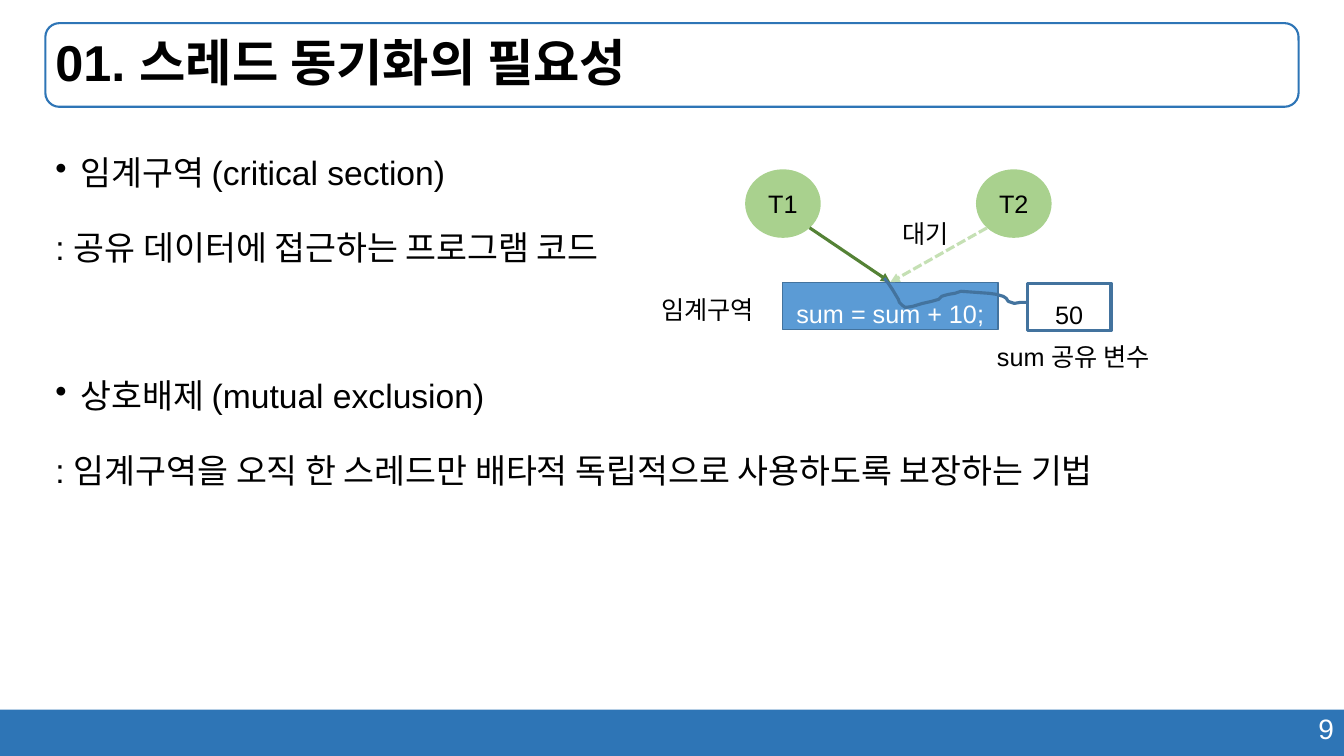
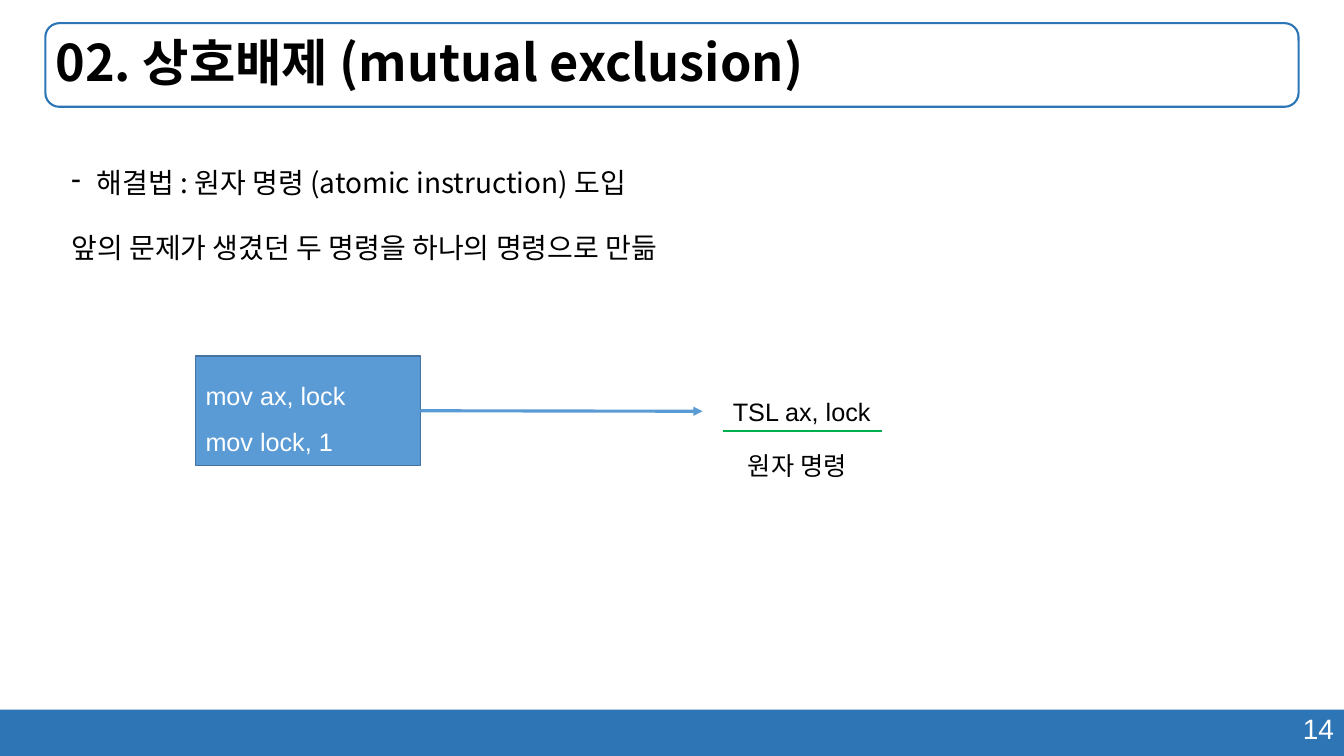
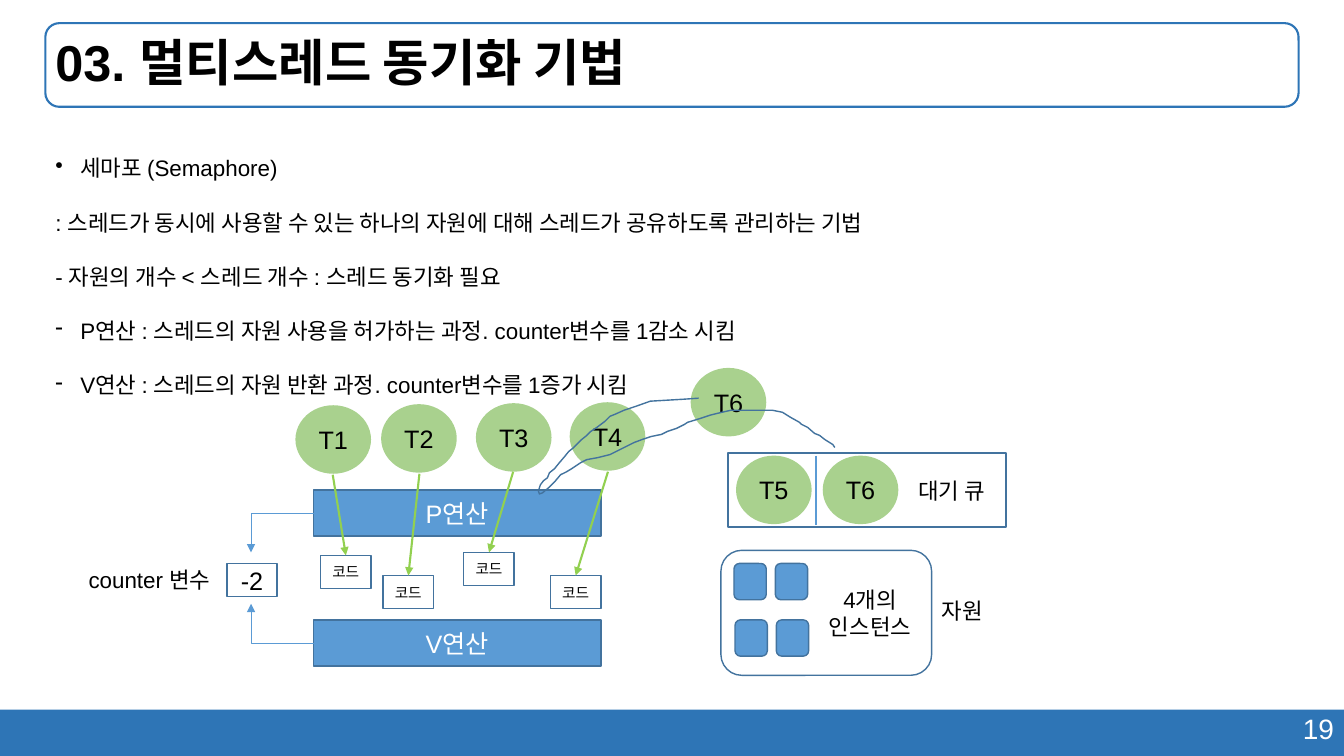
from dataclasses import dataclass
from typing import NamedTuple, Optional, Sequence

import pptx
import pptx.dml.color
import pptx.enum.dml
import pptx.enum.shapes
import pptx.enum.text
import pptx.oxml.ns
import pptx.oxml.xmlchemy
import pptx.presentation
import pptx.shapes.autoshape
import pptx.shapes.connector
import pptx.slide
import pptx.text.text
import pptx.util

Inches = pptx.util.Inches
Pt = pptx.util.Pt
Shape = pptx.shapes.autoshape.Shape
Slide = pptx.slide.Slide
Preset = pptx.enum.shapes.MSO_SHAPE
Connector = pptx.enum.shapes.MSO_CONNECTOR
Align = pptx.enum.text.PP_ALIGN
Anchor = pptx.enum.text.MSO_ANCHOR
new_element = pptx.oxml.xmlchemy.OxmlElement


@dataclass(frozen=True)
class Theme:
    band: str = "2E75B6"
    box: str = "5B9BD5"
    outline: str = "43739E"
    thread: str = "A9D18E"
    running: str = "548235"
    waiting: str = "C5E0B4"
    enter: str = "92D050"
    underline: str = "00B050"
    black: str = "000000"
    white: str = "FFFFFF"
    latin: str = "Arial"
    korean: str = "Noto Sans CJK KR"
    title_size: float = 36
    number_size: float = 20
    diagram_size: float = 18
    note_size: float = 16
    code_size: float = 10.5
    body_spacing: float = 1.5
    body_gap: float = 10


THEME = Theme()


class Box(NamedTuple):
    left: float
    top: float
    width: float
    height: float


class Point(NamedTuple):
    x: float
    y: float


class BodyLine(NamedTuple):
    text: str
    bullet: Optional[str] = None
    gap: float = THEME.body_gap


class Label(NamedTuple):
    text: str
    box: Box
    size: float = THEME.diagram_size


class Thread(NamedTuple):
    name: str
    left: float
    top: float


class Entry(NamedTuple):
    """A thread, and the code box that it reaches."""
    thread: Thread
    start: Point
    code_left: float
    code_top: float


def rgb(color: str) -> pptx.dml.color.RGBColor:
    return pptx.dml.color.RGBColor.from_string(color)


def write(shape: Shape, lines: Sequence[str], size: float, color: str,
          font: str = THEME.latin, align: Align = Align.LEFT,
          spacing: Optional[float] = None, bold: bool = False) -> None:
    frame = shape.text_frame
    for index, line in enumerate(lines):
        paragraph = frame.paragraphs[0] if index == 0 else frame.add_paragraph()
        paragraph.text = line
        paragraph.alignment = align
        if spacing:
            paragraph.line_spacing = spacing
        style(paragraph, size, color, font, bold)


def style(paragraph: pptx.text.text._Paragraph, size: float, color: str,
          font: str, bold: bool = False) -> None:
    paragraph.font.name = font
    paragraph.font.size = Pt(size)
    paragraph.font.bold = bold
    paragraph.font.color.rgb = rgb(color)


def add_box(slide: Slide, box: Box, preset: Preset = Preset.RECTANGLE,
            fill: Optional[str] = None, line: Optional[str] = THEME.outline,
            weight: float = 1) -> Shape:
    shape = slide.shapes.add_shape(preset, *map(Inches, box))
    shape.shadow.inherit = False
    paint(shape, fill, line, weight)
    shape.text_frame.word_wrap = True
    shape.text_frame.vertical_anchor = Anchor.MIDDLE
    return shape


def paint(shape: Shape, fill: Optional[str], line: Optional[str], weight: float) -> None:
    if fill:
        shape.fill.solid()
        shape.fill.fore_color.rgb = rgb(fill)
    else:
        shape.fill.background()
    if line:
        shape.line.color.rgb = rgb(line)
        shape.line.width = Pt(weight)
    else:
        shape.line.fill.background()


def add_label(slide: Slide, label: Label, align: Align = Align.LEFT) -> None:
    """Draw an unwrapped text box; each line of the text is a paragraph."""
    shape = slide.shapes.add_textbox(*map(Inches, label.box))
    shape.text_frame.word_wrap = False
    shape.text_frame.auto_size = pptx.enum.text.MSO_AUTO_SIZE.SHAPE_TO_FIT_TEXT
    write(shape, label.text.split("\n"), label.size, THEME.black, align=align)


def add_thread(slide: Slide, thread: Thread) -> None:
    shape = add_box(slide, Box(thread.left, thread.top, 0.75, 0.68),
                    Preset.OVAL, THEME.thread, None)
    write(shape, [thread.name], THEME.diagram_size, THEME.black, align=Align.CENTER)


def add_line(slide: Slide, start: Point, end: Point, color: str, weight: float,
             arrow: bool = True, kind: Connector = Connector.STRAIGHT,
             ) -> pptx.shapes.connector.Connector:
    line = slide.shapes.add_connector(kind, *map(Inches, (*start, *end)))
    line.line.color.rgb = rgb(color)
    line.line.width = Pt(weight)
    properties = line._element.spPr
    if arrow:
        tail = new_element("a:tailEnd")
        tail.set("type", "triangle")
        properties.find(pptx.oxml.ns.qn("a:ln")).append(tail)
    properties.append(new_element("a:effectLst"))
    return line


def add_corner_arrow(slide: Slide, start: Point, end: Point) -> None:
    """Draw an arrow that runs sideways first and turns once."""
    arrow = add_line(slide, start, end, THEME.box, 0.5, kind=Connector.ELBOW)
    guide = new_element("a:gd")
    guide.set("name", "adj1")
    guide.set("fmla", "val 100000")
    geometry = arrow._element.spPr.find(pptx.oxml.ns.qn("a:prstGeom"))
    geometry.get_or_add_avLst().append(guide)


def add_scribble(slide: Slide, points: Sequence[tuple[float, float]], weight: float) -> None:
    scaled = [(Inches(x), Inches(y)) for x, y in points]
    builder = slide.shapes.build_freeform(*scaled[0])
    builder.add_line_segments(scaled[1:], close=False)
    shape = builder.convert_to_shape()
    shape.shadow.inherit = False
    paint(shape, None, THEME.outline, weight)


def add_body(slide: Slide, box: Box, lines: Sequence[BodyLine], size: float,
             font: str = THEME.latin) -> None:
    shape = slide.shapes.add_textbox(*map(Inches, box))
    frame = shape.text_frame
    frame.word_wrap = True
    for index, line in enumerate(lines):
        paragraph = frame.paragraphs[0] if index == 0 else frame.add_paragraph()
        paragraph.text = line.text
        paragraph.line_spacing = THEME.body_spacing
        if index:
            paragraph.space_before = Pt(line.gap)
        if line.bullet:
            properties = paragraph._p.get_or_add_pPr()
            properties.set("marL", str(Inches(0.25)))
            properties.set("indent", str(-Inches(0.25)))
            bullet = new_element("a:buChar")
            bullet.set("char", line.bullet)
            properties.append(bullet)
        style(paragraph, size, THEME.black, font)


def add_page(presentation: pptx.presentation.Presentation, title: str, number: int,
             font: str = THEME.latin) -> Slide:
    """Add a slide with its band, page number and framed title."""
    slide = presentation.slides.add_slide(presentation.slide_layouts[6])
    add_box(slide, Box(0, 7.04, 13.33, 0.46), fill=THEME.band, line=None)
    page_number = slide.shapes.add_textbox(*map(Inches, Box(9.43, 7.01, 3.9, 0.44)))
    page_number.text_frame.word_wrap = True
    write(page_number, [str(number)], THEME.number_size, THEME.white, align=Align.RIGHT)
    frame = add_box(slide, Box(0.45, 0.23, 12.43, 0.83), Preset.ROUNDED_RECTANGLE,
                    line=THEME.band, weight=1.5)
    frame.text_frame.margin_left = Inches(0.06)
    write(frame, [title], THEME.title_size, THEME.black, font, spacing=0.9, bold=True)
    return slide


def build_critical_section(presentation: pptx.presentation.Presentation) -> None:
    slide = add_page(presentation, "01. 스레드 동기화의 필요성", 9)
    add_body(slide, Box(0.45, 1.26, 12.43, 5.53), [
        BodyLine("임계구역 (critical section)", "•"),
        BodyLine(": 공유 데이터에 접근하는 프로그램 코드"),
        BodyLine("상호배제 (mutual exclusion)", "•", gap=63),
        BodyLine(": 임계구역을 오직 한 스레드만 배타적 독립적으로 사용하도록 보장하는 기법"),
    ], 24)

    section = add_box(slide, Box(7.76, 2.8, 2.14, 0.47), fill=THEME.box)
    write(section, ["sum = sum + 10;"], THEME.diagram_size, THEME.white,
          align=Align.CENTER, spacing=THEME.body_spacing)
    for thread in (Thread("T1", 7.39, 1.68), Thread("T2", 9.68, 1.68)):
        add_thread(slide, thread)

    entrance = Point(8.83, 2.8)
    running = add_line(slide, Point(8.03, 2.26), entrance, THEME.running, 2.25)
    waiting = add_line(slide, Point(9.79, 2.26), entrance, THEME.waiting, 2.25)
    waiting.line.dash_style = pptx.enum.dml.MSO_LINE.SQUARE_DOT
    for arrow in (running, waiting):
        arrow.end_connect(section, 0)

    add_scribble(slide, [
        (8.77, 2.76), (8.81, 2.81), (8.85, 2.87), (8.91, 2.97), (8.92, 3), (8.95, 3.03),
        (8.98, 3.05), (9.05, 3.04), (9.15, 3.01), (9.24, 2.99), (9.31, 2.97),
        (9.34, 2.94), (9.37, 2.93), (9.41, 2.92), (9.47, 2.91), (9.53, 2.89),
        (9.81, 2.91), (9.88, 2.92), (9.95, 2.94), (9.98, 2.96), (10, 2.99),
        (10.06, 3.01), (10.12, 3), (10.19, 3),
    ], 2.25)
    for label in (
        Label("임계구역", Box(6.46, 2.87, 1.21, 0.4)),
        Label("대기", Box(8.85, 2.12, 0.71, 0.4)),
        Label("sum 공유 변수", Box(9.79, 3.34, 1.83, 0.4)),
    ):
        add_label(slide, label)
    variable = add_box(slide, Box(10.19, 2.81, 0.83, 0.47), weight=2.25)
    write(variable, ["50"], THEME.diagram_size, THEME.black,
          align=Align.CENTER, spacing=THEME.body_spacing)


def build_mutual_exclusion(presentation: pptx.presentation.Presentation) -> None:
    slide = add_page(presentation, "02. 상호배제 (mutual exclusion)", 14, THEME.korean)
    add_body(slide, Box(0.61, 1.43, 12.72, 5.53), [
        BodyLine("해결법 : 원자 명령 (atomic instruction) 도입", "-"),
        BodyLine("앞의 문제가 생겼던 두 명령을 하나의 명령으로 만듦"),
    ], 20, THEME.korean)

    commands = add_box(slide, Box(1.94, 3.53, 2.23, 1.09), fill=THEME.box)
    write(commands, ["mov ax, lock", "mov lock, 1"], THEME.diagram_size, THEME.white,
          spacing=THEME.body_spacing)
    merge = add_line(slide, Point(4.17, 4.08), Point(6.97, 4.08), THEME.box, 2.25)
    merge.begin_connect(commands, 3)
    add_label(slide, Label("TSL ax, lock", Box(7.17, 3.88, 1.58, 0.4)))
    add_label(slide, Label("원자 명령", Box(7.32, 4.42, 1.28, 0.4)))
    add_line(slide, Point(7.17, 4.28), Point(8.75, 4.28), THEME.underline, 1.5, arrow=False)


def build_semaphore(presentation: pptx.presentation.Presentation) -> None:
    slide = add_page(presentation, "03. 멀티스레드 동기화 기법", 19)
    add_body(slide, Box(0.45, 1.35, 12.43, 5.53), [
        BodyLine("세마포 (Semaphore)", "•"),
        BodyLine(": 스레드가 동시에 사용할 수 있는 하나의 자원에 대해 스레드가 공유하도록 관리하는 기법"),
        BodyLine("- 자원의 개수 < 스레드 개수 : 스레드 동기화 필요"),
        BodyLine("P연산 : 스레드의 자원 사용을 허가하는 과정. counter변수를 1감소 시킴", "-"),
        BodyLine("V연산 : 스레드의 자원 반환 과정. counter변수를 1증가 시킴", "-"),
    ], THEME.note_size)

    for name, top, arrow_end in (("P연산", 4.86, 5.48), ("V연산", 6.15, 5.99)):
        operation = add_box(slide, Box(3.11, top, 2.85, 0.46), fill=THEME.box)
        write(operation, [name], THEME.diagram_size, THEME.white, align=Align.CENTER)
        add_corner_arrow(slide, Point(3.11, top + 0.23), Point(2.49, arrow_end))
    counter = add_box(slide, Box(2.25, 5.59, 0.5, 0.33))
    write(counter, ["-2"], THEME.diagram_size, THEME.black, align=Align.CENTER)

    add_box(slide, Box(7.22, 4.49, 2.76, 0.74), weight=1.5)
    add_line(slide, Point(8.09, 4.52), Point(8.09, 5.21), THEME.box, 1.5, arrow=False)
    for thread in (Thread("T5", 7.3, 4.52), Thread("T6", 8.16, 4.52)):
        add_thread(slide, thread)

    for entry in (
        Entry(Thread("T1", 2.93, 4.02), Point(3.3, 4.71), 3.18, 5.51),
        Entry(Thread("T2", 3.78, 4.01), Point(4.16, 4.7), 3.8, 5.71),
        Entry(Thread("T3", 4.72, 4), Point(5.09, 4.68), 4.6, 5.48),
        Entry(Thread("T4", 5.65, 3.99), Point(6.03, 4.68), 5.46, 5.71),
    ):
        add_thread(slide, entry.thread)
        code = add_box(slide, Box(entry.code_left, entry.code_top, 0.5, 0.33))
        write(code, ["코드"], THEME.code_size, THEME.black, align=Align.CENTER)
        code_top = Point(entry.code_left + 0.25, entry.code_top)
        arrow = add_line(slide, entry.start, code_top, THEME.enter, 1.5)
        arrow.end_connect(code, 0)

    add_thread(slide, Thread("T6", 6.85, 3.65))
    add_scribble(slide, [
        (6.93, 3.95), (6.79, 3.96), (6.45, 3.98), (6.31, 4.03), (6.19, 4.07),
        (6.1, 4.11), (6.05, 4.13), (6, 4.18), (5.92, 4.24), (5.86, 4.28), (5.82, 4.32),
        (5.77, 4.36), (5.69, 4.44), (5.64, 4.48), (5.6, 4.53), (5.54, 4.6), (5.5, 4.65),
        (5.45, 4.69), (5.43, 4.74), (5.39, 4.77), (5.36, 4.81), (5.34, 4.87),
        (5.35, 4.9), (5.38, 4.89), (5.44, 4.84), (5.51, 4.77), (5.56, 4.71),
        (5.62, 4.68), (5.67, 4.65), (5.76, 4.59), (5.82, 4.56), (5.93, 4.54),
        (6.05, 4.51), (6.15, 4.46), (6.21, 4.43), (6.29, 4.39), (6.37, 4.36),
        (6.46, 4.33), (6.56, 4.31), (6.62, 4.28), (6.71, 4.25), (6.79, 4.21),
        (6.82, 4.19), (6.95, 4.15), (7.04, 4.12), (7.12, 4.1), (7.25, 4.07),
        (7.5, 4.07), (7.66, 4.07), (7.76, 4.09), (7.84, 4.14), (7.93, 4.19),
        (7.95, 4.21), (8.01, 4.24), (8.08, 4.3), (8.13, 4.32), (8.18, 4.36),
        (8.26, 4.41), (8.28, 4.44),
    ], 1)

    add_box(slide, Box(7.15, 5.46, 2.09, 1.24), Preset.ROUNDED_RECTANGLE)
    for row in range(2):
        for column in range(2):
            add_box(slide, Box(7.28 + 0.41 * column + 0.01 * row, 5.59 + 0.56 * row, 0.32, 0.36),
                    Preset.ROUNDED_RECTANGLE, THEME.box)
    for label in (
        Label("counter 변수", Box(0.78, 5.57, 1.46, 0.37), THEME.note_size),
        Label("대기 큐", Box(9.01, 4.68, 0.94, 0.37), THEME.note_size),
        Label("자원", Box(9.24, 5.88, 0.65, 0.37), THEME.note_size),
    ):
        add_label(slide, label)
    add_label(slide, Label("4개의\n인스턴스", Box(8.08, 5.77, 1.1, 0.64), THEME.note_size),
              Align.CENTER)


def main() -> None:
    presentation = pptx.Presentation()
    presentation.slide_width = Inches(13.33)
    presentation.slide_height = Inches(7.5)
    build_critical_section(presentation)
    build_mutual_exclusion(presentation)
    build_semaphore(presentation)
    presentation.save("out.pptx")


if __name__ == "__main__":
    main()
